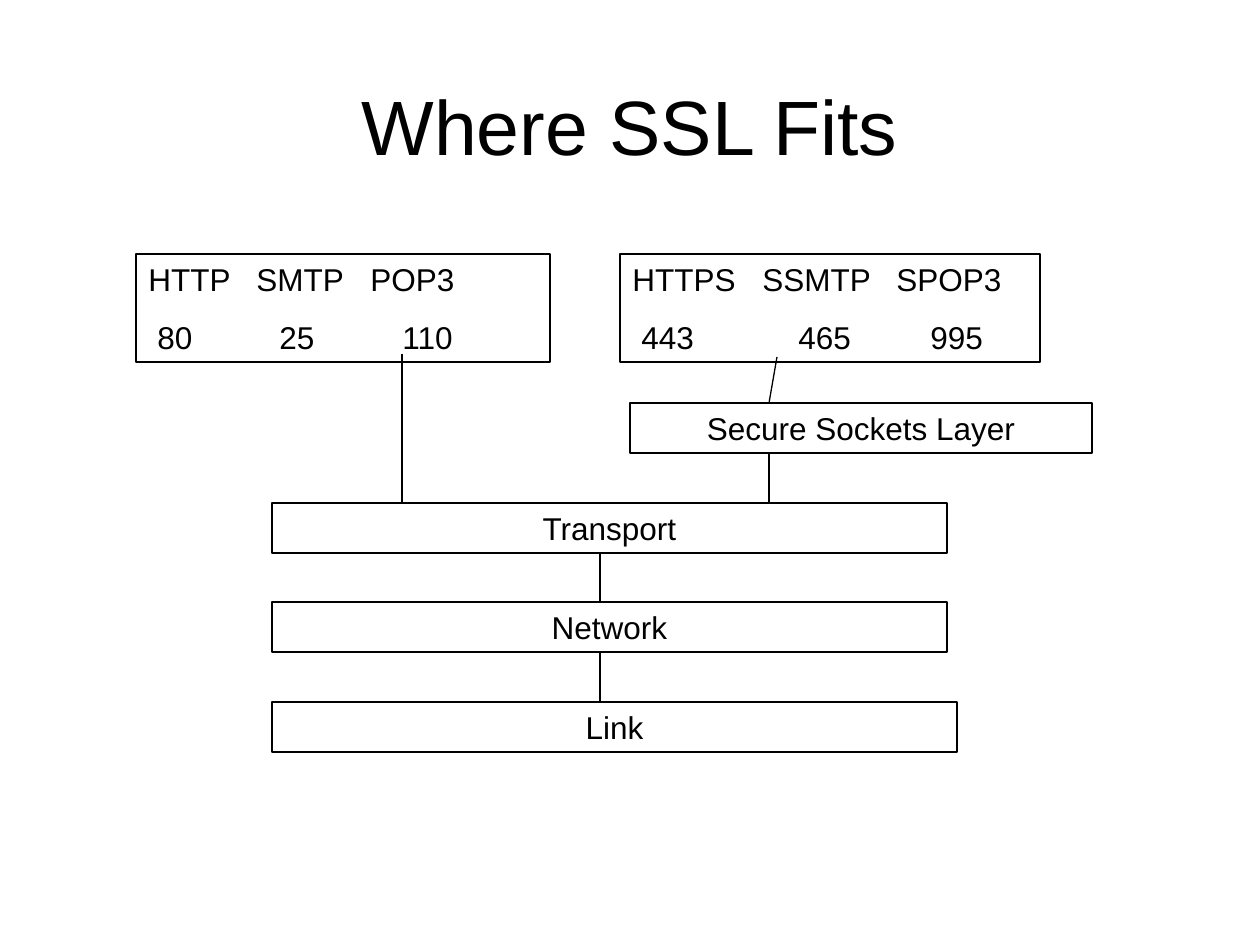
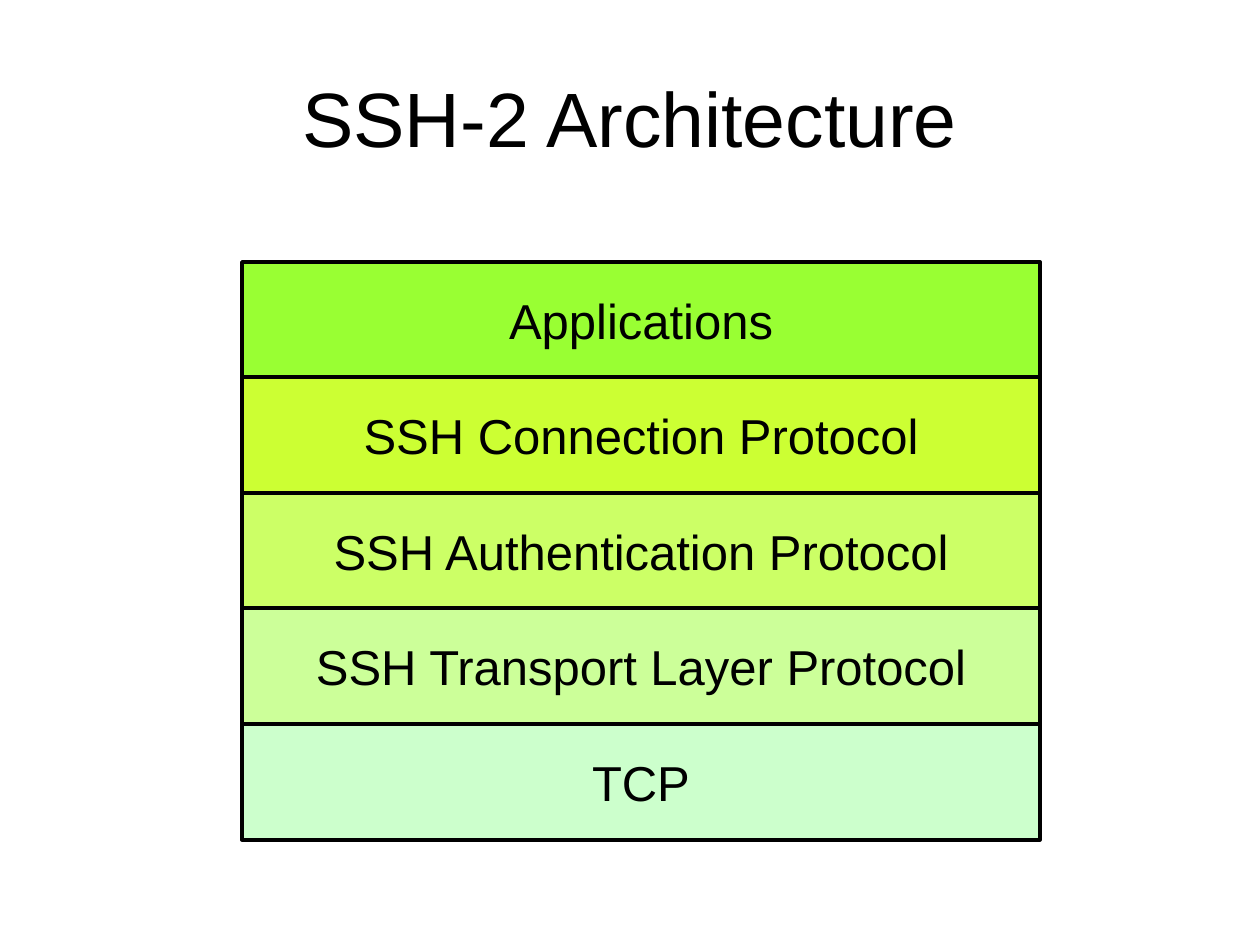
from dataclasses import dataclass

from lxml.etree import SubElement
from pptx import Presentation
from pptx.dml.color import RGBColor
from pptx.enum.shapes import MSO_CONNECTOR as Conn, MSO_SHAPE as Shape
from pptx.enum.text import MSO_ANCHOR as Anchor, PP_ALIGN as Align
from pptx.oxml.ns import qn
from pptx.slide import Slide
from pptx.util import Emu, Pt

PX = 914400 / 126
FONT = "Arial"
COLORS = {
    "ink": "000000",
    "paper": "FFFFFF",
    "applications": "99FF33",
    "connection": "CCFF33",
    "authentication": "CCFF66",
    "transport": "CCFF99",
    "tcp": "CCFFCC",
}


@dataclass(frozen=True)
class Rect:
    x: int
    y: int
    w: int
    h: int


@dataclass(frozen=True)
class Row:
    text: str
    tabs: tuple[int, ...] = ()


@dataclass(frozen=True)
class Box:
    rect: Rect
    rows: tuple[Row, ...]
    size: int = 18
    align: Align = Align.CENTER
    fill: str = ""
    line: float = 0.75


@dataclass(frozen=True)
class Link:
    x1: int
    y1: int
    x2: int
    y2: int


@dataclass(frozen=True)
class Band:
    text: str
    color: str


def px(n: float) -> Emu:
    return Emu(round(n * PX))


def rgb(name: str) -> RGBColor:
    return RGBColor.from_string(COLORS[name])


def place(rect: Rect) -> tuple[Emu, ...]:
    return px(rect.x), px(rect.y), px(rect.w), px(rect.h)


def add_text(sp, rows: tuple[Row, ...], size: int, align: Align) -> None:
    tf = sp.text_frame
    tf.word_wrap = True
    tf.vertical_anchor = Anchor.MIDDLE
    for i, row in enumerate(rows):
        p = tf.add_paragraph() if i else tf.paragraphs[0]
        p.alignment = align
        if i:
            p.space_before = Pt(11.2)
        if row.tabs:
            tabs = SubElement(p._p.get_or_add_pPr(), qn("a:tabLst"))
            for stop in row.tabs:
                SubElement(tabs, qn("a:tab"), pos=str(px(stop)), algn="l")
        r = p.add_run()
        r.text = row.text
        r.font.name = FONT
        r.font.size = Pt(size)
        r.font.color.rgb = rgb("ink")


def add_title_slide(prs: Presentation, title: str, rect: Rect) -> Slide:
    s = prs.slides.add_slide(prs.slide_layouts[6])
    s.background.fill.solid()
    s.background.fill.fore_color.rgb = rgb("paper")
    sp = s.shapes.add_textbox(*place(rect))
    add_text(sp, (Row(title),), 44, Align.CENTER)
    return s


def add_box(s: Slide, box: Box) -> None:
    sp = s.shapes.add_shape(Shape.RECTANGLE, *place(box.rect))
    sp.shadow.inherit = False
    if box.fill:
        sp.fill.solid()
        sp.fill.fore_color.rgb = rgb(box.fill)
    else:
        sp.fill.background()
    sp.line.color.rgb = rgb("ink")
    sp.line.width = Pt(box.line)
    add_text(sp, box.rows, box.size, box.align)


def add_link(s: Slide, link: Link) -> None:
    c = s.shapes.add_connector(
        Conn.STRAIGHT, px(link.x1), px(link.y1), px(link.x2), px(link.y2)
    )
    c.line.color.rgb = rgb("ink")
    c.line.width = Pt(0.75)
    SubElement(c._element.spPr, qn("a:effectLst"))


PORT_BOXES = (
    Box(
        Rect(136, 254, 414, 108),
        (
            Row("HTTP\tSMTP\tPOP3", (108, 222)),
            Row("\t80\t25\t110", (9, 131, 254)),
        ),
        align=Align.LEFT,
    ),
    Box(
        Rect(620, 254, 420, 108),
        (
            Row("HTTPS\tSSMTP\tSPOP3", (130, 264)),
            Row("\t443\t465\t995", (9, 166, 298)),
        ),
        align=Align.LEFT,
    ),
)
LAYER_H = 50
LAYERS = (
    ("Secure Sockets Layer", 630, 403, 462),
    ("Transport", 272, 503, 675),
    ("Network", 272, 602, 675),
    ("Link", 272, 702, 685),
)
LINKS = (
    Link(600, 553, 600, 602),
    Link(600, 652, 600, 702),
    Link(402, 354, 402, 503),
    Link(777, 357, 769, 403),
    Link(769, 453, 769, 503),
)
STACK = Rect(242, 262, 798, 578)
BANDS = (
    Band("Applications", "applications"),
    Band("SSH Connection Protocol", "connection"),
    Band("SSH Authentication Protocol", "authentication"),
    Band("SSH Transport Layer Protocol", "transport"),
    Band("TCP", "tcp"),
)


def build_ssl(prs: Presentation) -> None:
    s = add_title_slide(prs, "Where SSL Fits", Rect(94, 55, 1072, 139))
    for box in PORT_BOXES:
        add_box(s, box)
    for text, x, y, w in LAYERS:
        add_box(s, Box(Rect(x, y, w, LAYER_H), (Row(text),)))
    for link in LINKS:
        add_link(s, link)


def build_ssh(prs: Presentation) -> None:
    s = add_title_slide(prs, "SSH-2 Architecture", Rect(63, 38, 1134, 157))
    edges = [STACK.y + STACK.h * i // len(BANDS) for i in range(len(BANDS) + 1)]
    for band, top, bottom in zip(BANDS, edges, edges[1:]):
        rect = Rect(STACK.x, top, STACK.w, bottom - top)
        add_box(s, Box(rect, (Row(band.text),), size=28, fill=band.color, line=2))


def main() -> None:
    prs = Presentation()
    prs.slide_width, prs.slide_height = px(1260), px(945)
    build_ssl(prs)
    build_ssh(prs)
    prs.save("out.pptx")


if __name__ == "__main__":
    main()
